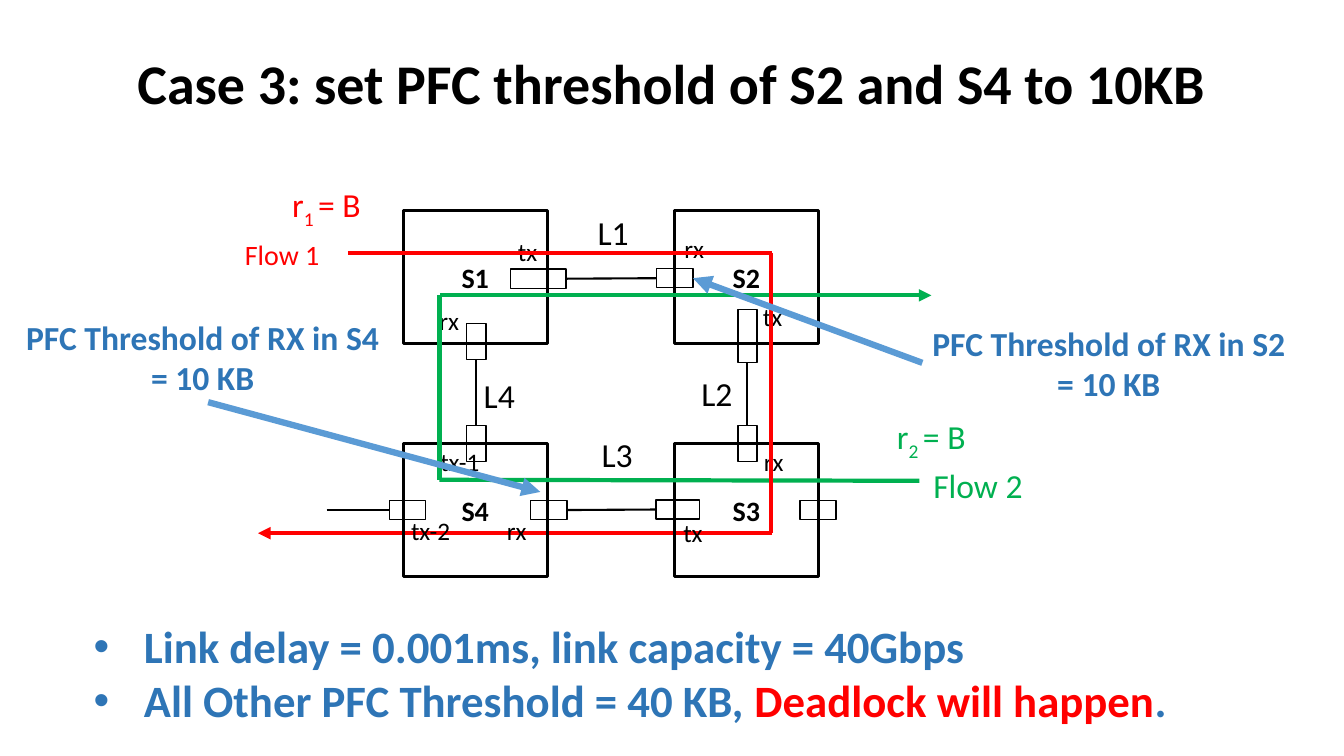
from dataclasses import dataclass

from lxml import etree
from pptx import Presentation
from pptx import util as u
from pptx.dml.color import RGBColor
from pptx.enum import shapes, text
from pptx.oxml.ns import qn

GRID = 0.1
BLACK, RED, GREEN, BLUE, ARROW_BLUE = "000000", "FF0000", "00B050", "2E75B6", "5B9BD5"
TOP, LEFT, BOTTOM, RIGHT = range(4)
LEFT_ALIGN, CENTER = text.PP_ALIGN.LEFT, text.PP_ALIGN.CENTER


@dataclass(frozen=True)
class Span:
    words: str
    color: str = BLACK
    baseline: int = 0


@dataclass(frozen=True)
class Para:
    spans: tuple[Span, ...]
    align: text.PP_ALIGN = LEFT_ALIGN
    bullet: bool = False


@dataclass(frozen=True)
class Label:
    column: float
    row: float
    columns: float
    size: int
    paras: tuple[Para, ...]
    bold: bool = False
    wrap: bool = False


@dataclass(frozen=True)
class Port:
    name: str
    center_column: float
    center_row: float
    columns: float = 3.6
    rows: float = 1.9


@dataclass(frozen=True)
class Path:
    start: tuple[float, float]
    end: tuple[float, float]
    color: str
    arrow: bool = False
    width: float = 3


def cells(count: float) -> u.Emu:
    return u.Inches(count * GRID)


def rgb(color: str) -> RGBColor:
    return RGBColor.from_string(color)


def add_para(para, item: Para, size: int, bold: bool) -> None:
    para.alignment = item.align
    if item.bullet:
        properties = para._p.get_or_add_pPr()
        properties.set("marL", str(u.Inches(0.5)))
        properties.set("indent", str(-u.Inches(0.5)))
        etree.SubElement(properties, qn("a:buFont"), typeface="Arial")
        etree.SubElement(properties, qn("a:buChar"), char="•")
    for part in item.spans:
        span = para.add_run()
        span.text = part.words
        span.font.name = "Calibri"
        span.font.size = u.Pt(size)
        span.font.bold = bold
        span.font.color.rgb = rgb(part.color)
        if part.baseline:
            span.font._element.set("baseline", str(part.baseline * 1000))


def add_label(page, label: Label):
    height = u.Inches(0.1) + u.Pt(1.2 * label.size * len(label.paras))
    box = page.shapes.add_textbox(
        cells(label.column), cells(label.row), cells(label.columns), height)
    frame = box.text_frame
    frame.word_wrap = label.wrap
    frame.auto_size = text.MSO_AUTO_SIZE.SHAPE_TO_FIT_TEXT
    for index, item in enumerate(label.paras):
        para = frame.add_paragraph() if index else frame.paragraphs[0]
        add_para(para, item, label.size, label.bold)
    return box


def add_box(page, column: float, row: float, columns: float, rows: float, width: float):
    box = page.shapes.add_shape(
        shapes.MSO_SHAPE.RECTANGLE, cells(column), cells(row), cells(columns), cells(rows))
    box.shadow.inherit = False
    box.fill.background()
    box.line.color.rgb = rgb(BLACK)
    box.line.width = u.Pt(width)
    return box


def add_switch(page, name: str, column: float, row: float) -> None:
    box = add_box(page, column, row, 14.3, 13.2, 2.25)
    box.text_frame.vertical_anchor = text.MSO_ANCHOR.MIDDLE
    add_para(box.text_frame.paragraphs[0], Para((Span(name),), CENTER), 20, True)


def add_port(page, port: Port):
    return add_box(page, port.center_column - port.columns / 2,
                   port.center_row - port.rows / 2, port.columns, port.rows, 1)


def add_path(page, path: Path):
    line = page.shapes.add_connector(
        shapes.MSO_CONNECTOR.STRAIGHT, *map(cells, path.start + path.end))
    line.line.color.rgb = rgb(path.color)
    line.line.width = u.Pt(path.width)
    if path.arrow:
        etree.SubElement(line.line._get_or_add_ln(), qn("a:tailEnd"), type="triangle")
    etree.SubElement(line._element.spPr, qn("a:effectLst"))
    return line


def plain(words: str, column: float, row: float, columns: float, size: int,
          color: str = BLACK) -> Label:
    return Label(column, row, columns, size, (Para((Span(words, color),)),))


def rate(index: str, column: float, row: float, color: str) -> Label:
    spans = (Span("r", color), Span(f"{index} ", color, -25), Span("= B", color))
    return Label(column, row, 9.1, 24, (Para(spans),))


def callout(switch: str, column: float, row: float) -> Label:
    return Label(column, row, 38.1, 24, (
        Para((Span(f"PFC Threshold of RX in {switch}", BLUE),)),
        Para((Span("= 10 KB", BLUE),), CENTER)), bold=True)


SWITCHES = (("S1", 40, 20.9), ("S2", 66.9, 20.9), ("S3", 66.9, 44), ("S4", 40, 44))
PORTS = (
    Port("S1 tx", 53.4, 27.65, 5.5), Port("S1 rx", 47.25, 33.9, 1.9, 3.6),
    Port("S2 rx", 66.95, 27.6), Port("S2 tx", 74.15, 33.35, 1.9, 5.3),
    Port("S3 rx", 74.15, 44, 1.9, 3.6), Port("S3 tx", 67.25, 50.55, 4.3),
    Port("S3 out", 81.15, 50.6), Port("S4 rx", 54.45, 50.6),
    Port("S4 tx-1", 47.25, 44, 1.9, 3.6), Port("S4 tx-2", 40.45, 50.6),
)
LINKS = (("S1 tx", RIGHT, "S2 rx", LEFT), ("S2 tx", BOTTOM, "S3 rx", TOP),
         ("S4 rx", RIGHT, "S3 tx", LEFT), ("S1 rx", BOTTOM, "S4 tx-1", TOP))
PORT_LABELS = (
    ("rx", 42.6, 29.8, 4), ("tx", 50.4, 23, 3.9), ("rx", 66.9, 22.7, 4),
    ("rx", 74.8, 43.8, 4), ("rx", 49.3, 50.6, 4), ("tx", 74.7, 29.4, 3.9),
    ("tx-1", 42.7, 43.8, 6), ("tx", 66.8, 50.8, 3.9), ("tx-2", 39.8, 50.6, 6),
)
LINK_LABELS = (("L1", 58.3, 20.5), ("L2", 68.6, 36.5), ("L3", 58.7, 42.6), ("L4", 47, 36.7))
FLOW_EXIT = Path((76.6, 52.9), (25.6, 52.9), RED, True)
FLOWS = (
    Path((43.7, 29.3), (92.4, 29.3), GREEN, True),
    Path((91.2, 47.7), (43.6, 47.6), GREEN),
    Path((43.6, 29.3), (43.6, 47.6), GREEN),
    Path((34.5, 25.1), (76.6, 25.1), RED),
    Path((76.5, 25.1), (76.5, 52.9), RED),
)
FLOW_LABELS = (
    plain("Flow 1", 23.3, 23.1, 9.5, 20, RED), rate("1", 28, 17.8, RED),
    plain("Flow 2", 91.6, 45.6, 10.9, 24, GREEN), rate("2", 88, 40.8, GREEN),
)
TITLE = Label(3.5, 4.3, 126.2, 40, (
    Para((Span("Case 3: set PFC threshold of S2 and S4 to 10KB"),), CENTER),), True, True)
SUMMARY = Label(8.3, 60.9, 110.4, 32, (
    Para((Span("Link delay = 0.001ms, link capacity = 40Gbps", BLUE),), bullet=True),
    Para((Span("All Other PFC Threshold = 40 KB, ", BLUE),
          Span("Deadlock will happen", RED), Span(".", BLUE)), bullet=True)), bold=True)


def main() -> None:
    deck = Presentation()
    deck.slide_width, deck.slide_height = cells(133.33), cells(75)
    page = deck.slides.add_slide(deck.slide_layouts[6])
    add_path(page, FLOW_EXIT)
    for switch in SWITCHES:
        add_switch(page, *switch)
    ports = {port.name: add_port(page, port) for port in PORTS}
    for words, column, row, columns in PORT_LABELS:
        add_label(page, plain(words, column, row, columns, 18))
    for flow in FLOWS:
        add_path(page, flow)
    for source, source_side, target, target_side in LINKS:
        link = add_path(page, Path((0, 0), (0, 0), BLACK, width=1.5))
        link.begin_connect(ports[source], source_side)
        link.end_connect(ports[target], target_side)
    stub = add_path(page, Path((32.4, 50.6), (38.65, 50.6), BLACK, width=1.5))
    stub.end_connect(ports["S4 tx-2"], LEFT)
    for words, column, row in LINK_LABELS:
        add_label(page, plain(words, column, row, 5.1, 24))
    for label in FLOW_LABELS + (TITLE, SUMMARY):
        add_label(page, label)
    s4_note = add_label(page, callout("S4", 1.6, 30.9))
    s4_arrow = add_path(page, Path((20.6, 40), (53.6, 48.8), ARROW_BLUE, True, 4.5))
    s4_arrow.begin_connect(s4_note, BOTTOM)
    s2_note = add_label(page, callout("S2", 91.5, 31.5))
    s2_arrow = add_path(page, Path((91.5, 36), (68.75, 27.6), ARROW_BLUE, True, 4.5))
    s2_arrow.begin_connect(s2_note, LEFT)
    s2_arrow.end_connect(ports["S2 rx"], RIGHT)
    deck.save("out.pptx")


if __name__ == "__main__":
    main()
